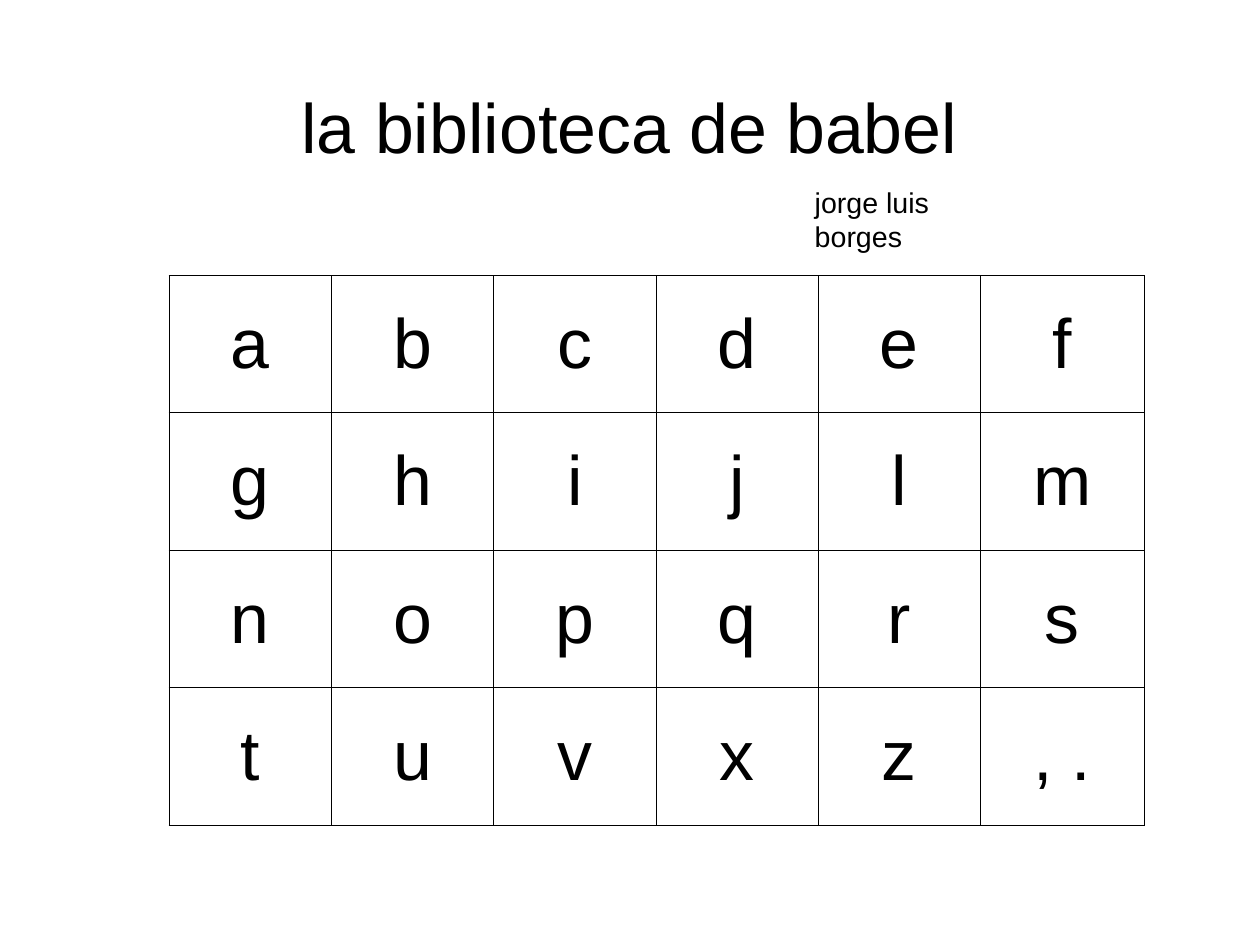
"""Build the letter grid slide for la biblioteca de babel."""
from lxml import etree
from pptx import Presentation, util as u
from pptx.dml.color import RGBColor
from pptx.enum import text
from pptx.oxml import ns

COLORS = {"ink": "000000", "paper": "FFFFFF"}
FONT = "Arial"
MM_PER_INCH = 25.4
LETTERS = ["abcdef", "ghijlm", "nopqrs", ["t", "u", "v", "x", "z", ", ."]]


def write(tf, content, size=44, align=text.PP_ALIGN.CENTER, color="ink"):
    """Put one formatted paragraph in a text frame."""
    p = tf.paragraphs[0]
    p.alignment = align
    r = p.add_run()
    r.text = content
    r.font.name = FONT
    r.font.size = u.Pt(size)
    r.font.color.rgb = RGBColor.from_string(COLORS[color])


def add_text(s, content, left, top, width, height, wrap=True, inset=(0.1, 0.05),
             anchor=text.MSO_ANCHOR.TOP, fit=text.MSO_AUTO_SIZE.NONE, **fmt):
    """Add a text box with formatted text."""
    tf = s.shapes.add_textbox(*map(u.Inches, (left, top, width, height))).text_frame
    tf.word_wrap = wrap
    tf.auto_size = fit
    tf.vertical_anchor = anchor
    tf.margin_left = tf.margin_right = u.Inches(inset[0])
    tf.margin_top = tf.margin_bottom = u.Inches(inset[1])
    write(tf, content, **fmt)


def add_borders(cell, color="ink", width=0.57):
    """Draw a thin line on all four sides of a cell."""
    tc_pr = cell._tc.get_or_add_tcPr()
    for side in "LRTB":
        ln = etree.SubElement(tc_pr, ns.qn(f"a:ln{side}"), w=str(u.Pt(width)))
        fill = etree.SubElement(ln, ns.qn("a:solidFill"))
        etree.SubElement(fill, ns.qn("a:srgbClr"), val=COLORS[color])


def add_grid(s, rows, left, top, widths, height):
    """Add a table with one centred letter in each cell."""
    frame = s.shapes.add_table(len(rows), len(widths),
                               *map(u.Inches, (left, top, sum(widths), height)))
    table = frame.table
    table.first_row = table.horz_banding = False
    for column, width in zip(table.columns, widths):
        column.width = u.Inches(width)
    for i, row in enumerate(rows):
        for j, letter in enumerate(row):
            cell = table.cell(i, j)
            cell.vertical_anchor = text.MSO_ANCHOR.MIDDLE
            cell.margin_left = cell.margin_right = u.Inches(0.1)
            cell.margin_top = cell.margin_bottom = u.Inches(0.05)
            add_borders(cell)
            cell.fill.background()
            write(cell.text_frame, letter)


def main():
    """Build and save the slide."""
    prs = Presentation()
    prs.slide_width = u.Inches(280 / MM_PER_INCH)
    prs.slide_height = u.Inches(210 / MM_PER_INCH)
    s = prs.slides.add_slide(prs.slide_layouts[6])
    s.background.fill.solid()
    s.background.fill.fore_color.rgb = RGBColor.from_string(COLORS["paper"])
    add_text(s, "la biblioteca de babel", 0.55, 0.41, 9.92, 1.38,
             inset=(0, 0), anchor=text.MSO_ANCHOR.MIDDLE)
    add_text(s, "jorge luis borges", 7.03, 1.57, 2.03, 0.38, wrap=False,
             fit=text.MSO_AUTO_SIZE.SHAPE_TO_FIT_TEXT, size=18,
             align=text.PP_ALIGN.LEFT)
    add_grid(s, LETTERS, 1.48, 2.41, [1.42] * 5 + [1.43], 4.81)
    prs.save("out.pptx")


if __name__ == "__main__":
    main()
